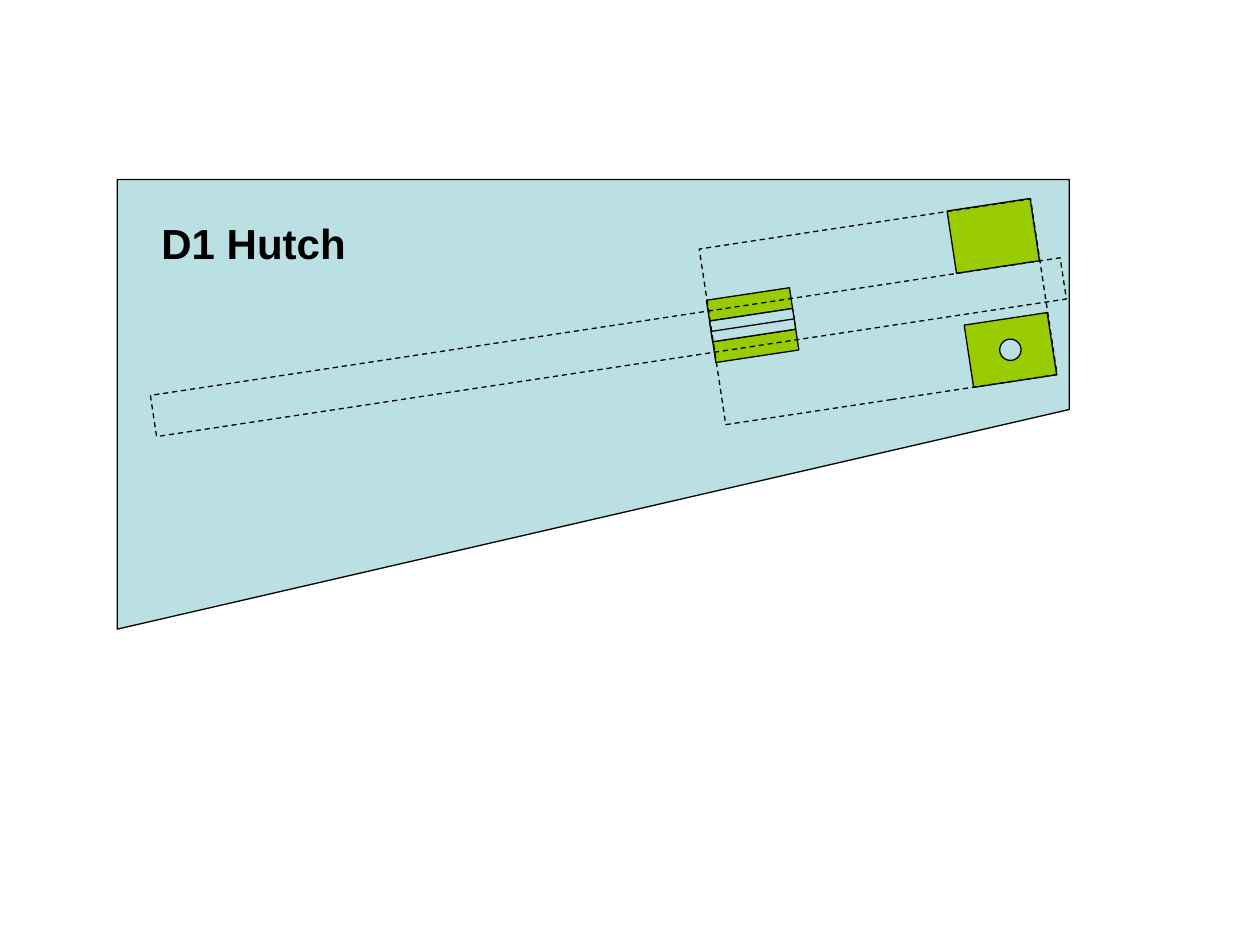
import math
import pptx
import pptx.util
import pptx.dml.color
import pptx.enum.dml
import pptx.enum.shapes
import pptx.enum.text
from dataclasses import dataclass
from lxml import etree

Pt = pptx.util.Pt
RGB = pptx.dml.color.RGBColor.from_string
MSO = pptx.enum.shapes.MSO_SHAPE


@dataclass(frozen=True)
class Theme:
    floor: str = "BBE0E3"
    equipment: str = "99CC00"
    ink: str = "000000"
    font: str = "Arial"
    title_size: float = 24
    line_width: float = 0.75


theme = Theme()
tilt = -8.6


def style(sp, fill=None, dashed=False):
    sp.shadow.inherit = False
    if fill:
        sp.fill.solid()
        sp.fill.fore_color.rgb = RGB(fill)
    else:
        sp.fill.background()
    sp.line.color.rgb = RGB(theme.ink)
    sp.line.width = Pt(theme.line_width)
    if dashed:
        sp.line.dash_style = pptx.enum.dml.MSO_LINE.DASH


def rail(offset):
    a = math.radians(tilt)
    x = slit_x + slit_w / 2 - offset * math.sin(a)
    y = slit_y + slit_h / 2 + offset * math.cos(a)
    dx, dy = slit_w / 2 * math.cos(a), slit_w / 2 * math.sin(a)
    ends = [Pt(v) for v in (x - dx, y - dy, x + dx, y + dy)]
    cx = s.shapes.add_connector(pptx.enum.shapes.MSO_CONNECTOR.STRAIGHT, *ends)
    cx.line.color.rgb = RGB(theme.ink)
    cx.line.width = Pt(theme.line_width)
    etree.SubElement(cx._element.spPr, pptx.oxml.ns.qn("a:effectLst"))
    return cx, ends


prs = pptx.Presentation()
prs.slide_width, prs.slide_height = Pt(720), Pt(540)
s = prs.slides.add_slide(prs.slide_layouts[5])

fb = s.shapes.build_freeform(Pt(611), Pt(102.6))
fb.add_line_segments([(Pt(67), Pt(102.6)), (Pt(67), Pt(359.5)), (Pt(611), Pt(234))], close=True)
hutch = fb.convert_to_shape()
style(hutch, theme.floor)

slit_x, slit_y, slit_w, slit_h = 406.1, 167.8, 48, 36
gap_h = slit_h / 3
parts = [
    (MSO.RECTANGLE, 543.6, 116.8, slit_w, slit_h, theme.equipment),
    (MSO.RECTANGLE, 553.4, 182, slit_w, slit_h, theme.equipment),
    (MSO.OVAL, 571.3, 193.8, 12.2, 12.2, theme.floor),
    (MSO.RECTANGLE, slit_x, slit_y, slit_w, slit_h, theme.equipment),
    (MSO.RECTANGLE, slit_x, slit_y + gap_h, slit_w, gap_h, theme.floor),
    (MSO.RECTANGLE, 406.1, 127.4, 191.5, 101.5, None),
    (MSO.RECTANGLE, 84.8, 186.5, 525.8, 23.8, None),
]
for i, (kind, x, y, w, h, fill) in enumerate(parts):
    if i == 4:
        rail(-gap_h / 2)
        rail(gap_h / 2)
    sp = s.shapes.add_shape(kind, Pt(x), Pt(y), Pt(w), Pt(h))
    sp.rotation = tilt
    style(sp, fill, dashed=fill is None)
    if i == 4:
        cx, ends = rail(0)
        cx.begin_connect(sp, 1)
        cx.end_connect(sp, 3)
        cx.begin_x, cx.begin_y, cx.end_x, cx.end_y = ends

title = s.shapes.title
title.left, title.top, title.width, title.height = Pt(85), Pt(120.7), Pt(126), Pt(36)
tf = title.text_frame
tf.text = "D1 Hutch"
tf.word_wrap = True
tf.auto_size = pptx.enum.text.MSO_AUTO_SIZE.NONE
tf.vertical_anchor = pptx.enum.text.MSO_ANCHOR.TOP
tf.margin_left = tf.margin_right = Pt(7.2)
tf.margin_top = tf.margin_bottom = Pt(3.6)
p = tf.paragraphs[0]
p.alignment = pptx.enum.text.PP_ALIGN.LEFT
r = p.runs[0]
r.font.name = theme.font
r.font.size = Pt(theme.title_size)
r.font.bold = True
r.font.color.rgb = RGB(theme.ink)
s.shapes._spTree.append(title._element)

prs.save("out.pptx")
